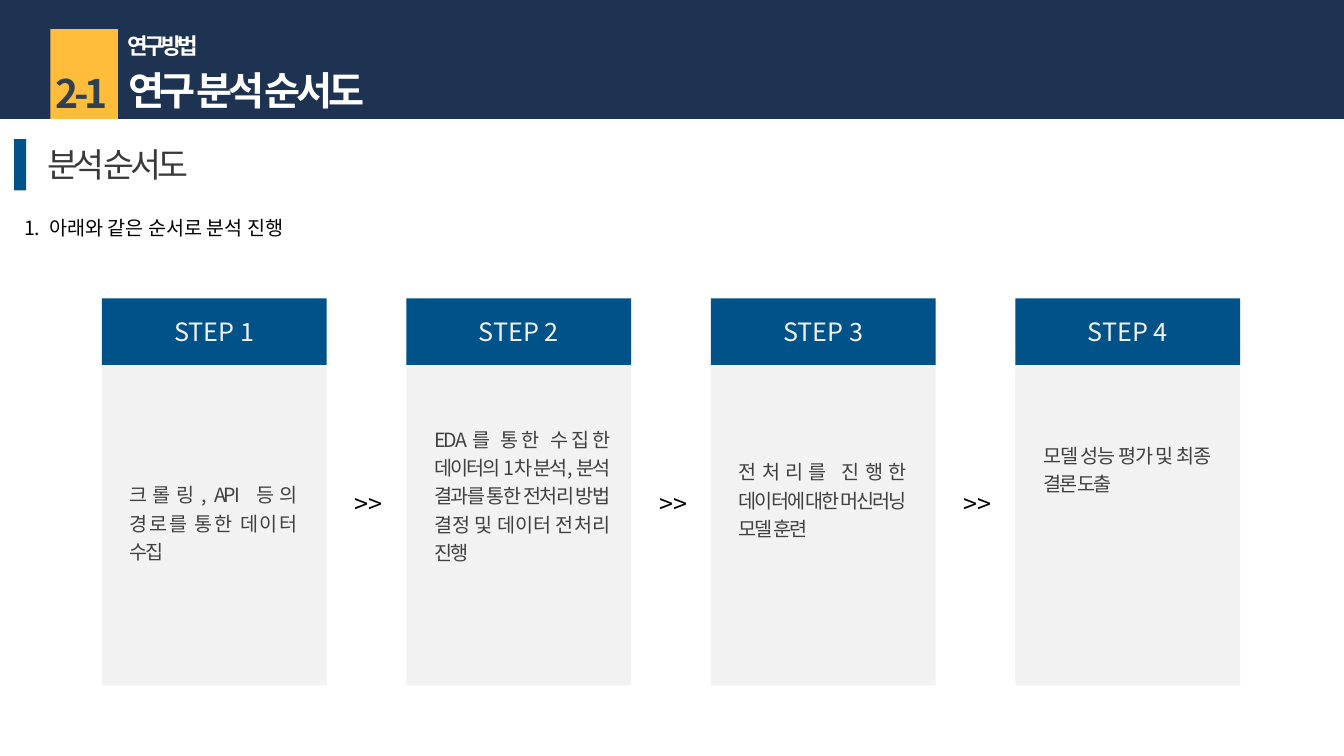
from dataclasses import dataclass

from lxml import etree
from pptx import Presentation
from pptx.dml.color import RGBColor
from pptx.enum.shapes import MSO_SHAPE
from pptx.enum.text import MSO_ANCHOR, MSO_AUTO_SIZE, PP_ALIGN
from pptx.oxml.ns import qn
from pptx.util import Inches, Pt

RECTANGLE = MSO_SHAPE.RECTANGLE
TOP, MIDDLE = MSO_ANCHOR.TOP, MSO_ANCHOR.MIDDLE
LEFT, CENTER, JUSTIFY = PP_ALIGN.LEFT, PP_ALIGN.CENTER, PP_ALIGN.JUSTIFY
NO_AUTOFIT = MSO_AUTO_SIZE.NONE
TITLE_ONLY = 5


@dataclass(frozen=True)
class Theme:
    font: str = "Noto Sans CJK KR"
    navy: str = "1E3252"
    amber: str = "FFBD3B"
    slate: str = "30404F"
    blue: str = "005289"
    panel: str = "F2F2F2"
    heading: str = "393939"
    body: str = "404040"
    white: str = "FFFFFF"
    black: str = "000000"
    title_size: int = 28
    heading_size: int = 24
    step_size: int = 18
    kicker_size: int = 16
    body_size: int = 14
    tight: float = -3
    snug: float = -1.5


@dataclass(frozen=True)
class Box:
    """A region in inches; inner() places a child relative to its corner."""
    left: float
    top: float
    width: float
    height: float

    def inner(self, left, top, width, height):
        return Box(self.left + left, self.top + top, width, height)

    def lengths(self):
        return [Inches(v) for v in (self.left, self.top, self.width, self.height)]


THEME = Theme()
SLIDE = Box(0, 0, 13.33, 7.5)
HEADER = Box(0, 0, SLIDE.width, 1.18)
SECTION = Box(0.14, 1.38, 9.77, 1.05)
FLOW = Box(1.01, 2.96, 11.29, 3.84)
COLUMN_WIDTH, COLUMN_PITCH = 2.23, 3.02
LINE_HEIGHT, INSET = 0.28, 0.05

# Label, text, text top within the column, text width, number of lines
STEPS = [
    ("STEP 1", "크롤링, API 등의 경로를 통한 데이터 수집", 1.74, 1.84, 3),
    ("STEP 2", "EDA를 통한 수집한 데이터의 1차 분석, 분석 결과를 통한 전처리 방법 결정 및 "
               "데이터 전처리 진행", 1.19, 1.92, 5),
    ("STEP 3", "전처리를 진행한 데이터에 대한 머신러닝 모델 훈련", 1.51, 1.84, 3),
    ("STEP 4", "모델 성능 평가 및 최종 결론 도출", 1.35, 1.84, 2),
]


def write(shape, text, size, color, align=LEFT, anchor=TOP, bold=False,
          spacing=0, line_spacing=None, wrap=True):
    """Fill a shape with one formatted paragraph and return the paragraph."""
    frame = shape.text_frame
    frame.text = text
    frame.word_wrap = wrap
    frame.auto_size = NO_AUTOFIT
    frame.vertical_anchor = anchor
    paragraph = frame.paragraphs[0]
    paragraph.alignment = align
    if line_spacing:
        paragraph.line_spacing = line_spacing
    for run in paragraph.runs:
        font = run.font
        font.name, font.size, font.bold = THEME.font, Pt(size), bold
        font.color.rgb = RGBColor.from_string(color)
        properties = run._r.get_or_add_rPr()
        etree.SubElement(properties, qn("a:ea"), typeface=THEME.font)
        if spacing:
            properties.set("spc", str(int(spacing * 100)))
    return paragraph


def add_block(slide, box, color):
    shape = slide.shapes.add_shape(RECTANGLE, *box.lengths())
    shape.shadow.inherit = False
    shape.fill.solid()
    shape.fill.fore_color.rgb = RGBColor.from_string(color)
    shape.line.fill.background()
    return shape


def add_text(slide, box, text, size, color, **style):
    shape = slide.shapes.add_textbox(*box.lengths())
    return write(shape, text, size, color, **style)


def build_header(slide, box):
    add_block(slide, box, THEME.navy)
    add_block(slide, box.inner(0.5, 0.29, 0.67, 0.89), THEME.amber)

    # Title goes in front of the banner
    title = slide.shapes.title
    title.left, title.top, title.width, title.height = box.inner(1.17, 0.61, 5.5, 0.57).lengths()
    slide.shapes._spTree.append(title._element)
    style = {"bold": True, "spacing": THEME.tight}
    write(title, "연구 분석 순서도", THEME.title_size, THEME.white, **style)

    # Kicker and section number
    add_text(slide, box.inner(1.17, 0.27, 5.5, 0.37), "연구 방법",
             THEME.kicker_size, THEME.white, **style)
    add_text(slide, box.inner(0.38, 0.64, 0.86, 0.57), "2-1",
             THEME.title_size, THEME.slate, align=CENTER, **style)


def build_section(slide, box):
    # Heading with its marker
    add_block(slide, box.inner(0, 0, 0.12, 0.51), THEME.blue)
    add_text(slide, box.inner(0.23, 0, 1.75, 0.5), "분석 순서도", THEME.heading_size,
             THEME.heading, spacing=THEME.tight, wrap=False)

    # Numbered line
    paragraph = add_text(slide, box.inner(0, 0.71, box.width, 0.34),
                         "아래와 같은 순서로 분석 진행", THEME.body_size, THEME.black)
    properties = paragraph._p.get_or_add_pPr()
    indent = Inches(0.25)
    properties.set("marL", str(indent))
    properties.set("indent", str(-indent))
    etree.SubElement(properties, qn("a:buAutoNum"), type="arabicPeriod")


def build_step(slide, box, label, text, text_top, text_width, lines):
    add_block(slide, box, THEME.panel)
    header = add_block(slide, box.inner(0, 0, box.width, 0.66), THEME.blue)
    write(header, label, THEME.step_size, THEME.panel, align=CENTER, anchor=MIDDLE)
    text_height = lines * LINE_HEIGHT + 2 * INSET
    add_text(slide, box.inner(0.18, text_top, text_width, text_height), text,
             THEME.body_size, THEME.body, align=JUSTIFY,
             spacing=THEME.snug, line_spacing=1.2)


def build_flow(slide, box):
    for index, step in enumerate(STEPS):
        column = box.inner(index * COLUMN_PITCH, 0, COLUMN_WIDTH, box.height)
        build_step(slide, column, *step)
        # Separator towards the next step
        if index < len(STEPS) - 1:
            add_text(slide, column.inner(2.41, 1.84, 0.59, 0.44), ">>",
                     THEME.step_size, THEME.black, wrap=False)


def main():
    presentation = Presentation()
    presentation.slide_width = Inches(SLIDE.width)
    presentation.slide_height = Inches(SLIDE.height)
    slide = presentation.slides.add_slide(presentation.slide_layouts[TITLE_ONLY])
    build_section(slide, SECTION)
    build_flow(slide, FLOW)
    build_header(slide, HEADER)
    presentation.save("out.pptx")


if __name__ == "__main__":
    main()
